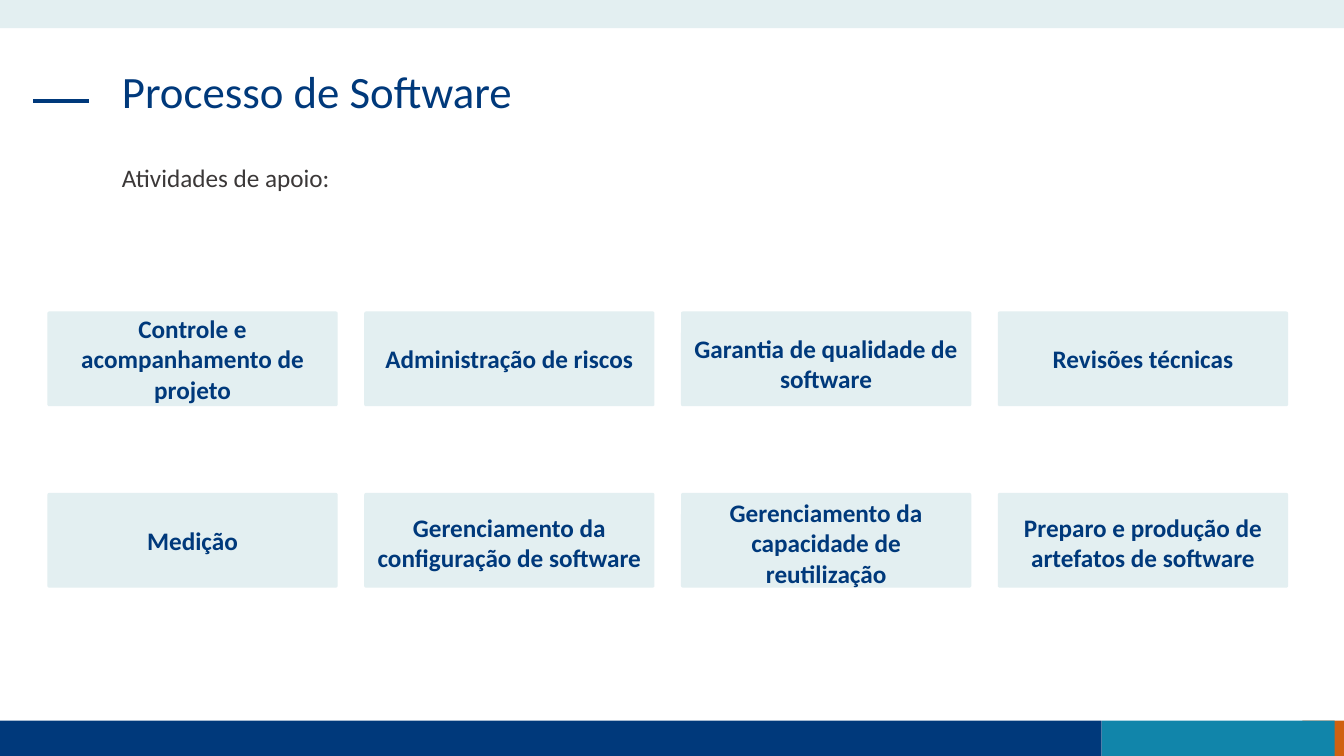
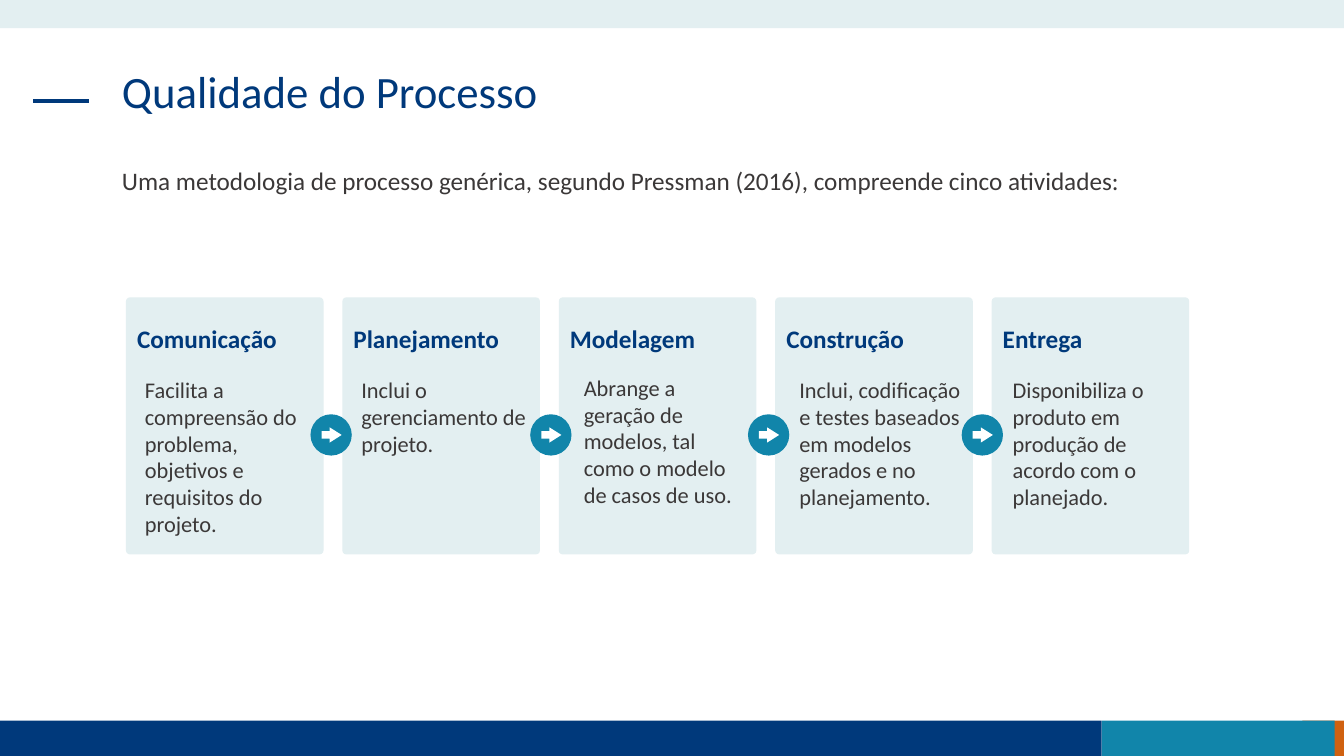
from lxml import etree
from pptx import Presentation
from pptx.dml.color import RGBColor
from pptx.enum.shapes import MSO_CONNECTOR, MSO_SHAPE
from pptx.enum.text import MSO_ANCHOR, MSO_AUTO_SIZE, PP_ALIGN
from pptx.oxml.ns import qn
from pptx.util import Inches, Pt

NAVY = RGBColor(0x00, 0x39, 0x7B)
TEAL = RGBColor(0x11, 0x85, 0xAA)
RUST = RGBColor(0xD0, 0x61, 0x10)
MIST = RGBColor(0xE3, 0xEF, 0xF1)
GRAY = RGBColor(0x3B, 0x38, 0x38)
WHITE = RGBColor(0xFF, 0xFF, 0xFF)

RECT = MSO_SHAPE.RECTANGLE
ROUND = MSO_SHAPE.ROUNDED_RECTANGLE
OVAL = MSO_SHAPE.OVAL
ARROW = MSO_SHAPE.RIGHT_ARROW
LINE = MSO_CONNECTOR.STRAIGHT
TOP, MIDDLE = MSO_ANCHOR.TOP, MSO_ANCHOR.MIDDLE
LEFT, CENTER = PP_ALIGN.LEFT, PP_ALIGN.CENTER
FIXED = MSO_AUTO_SIZE.NONE

CELL = 0.1
COLS, ROWS = 133.33, 75


def grid(*cells):
    return [Inches(cell * CELL) for cell in cells]


class Deck:
    font = "Calibri"
    bands = (
        (129.2, 71.5, 4.13, 3.5, RUST),
        (0, 71.5, 109.3, 3.5, NAVY),
        (109.3, 71.5, 23.1, 3.5, TEAL),
        (0, 0, COLS, 2.8, MIST),
    )

    def __init__(self):
        self.file = Presentation()
        self.file.slide_width, self.file.slide_height = grid(COLS, ROWS)
        self.slide = None

    def start(self, title):
        self.slide = self.file.slides.add_slide(self.file.slide_layouts[1])
        for *box, color in self.bands:
            self.shape(RECT, box, color)
        self.dash()
        self.hold(self.slide.shapes.title, (11.1, 6.4, 111, 9.4), title,
                  32, NAVY, TOP, 0.9)

    def dash(self):
        line = self.slide.shapes.add_connector(LINE, *grid(3.3, 10, 8.8, 10))
        line.line.color.rgb = NAVY
        line.line.width = Pt(3)
        etree.SubElement(line._element.spPr, qn("a:effectLst"))

    def hold(self, holder, box, text, size, color, anchor, space):
        holder.left, holder.top, holder.width, holder.height = grid(*box)
        frame = holder.text_frame
        frame.auto_size = FIXED
        para = self.label(frame, text, size, color, anchor=anchor)
        para.line_spacing = space

    def intro(self, text, box, anchor, space):
        self.hold(self.slide.placeholders[1], box, text, 18, GRAY,
                  anchor, space)

    def label(self, frame, text, size, color, bold=False, align=LEFT,
              anchor=TOP):
        frame.word_wrap = True
        frame.vertical_anchor = anchor
        para = frame.paragraphs[0]
        para.text = text
        props = para._p.get_or_add_pPr()
        props.set("marL", "0")
        props.set("indent", "0")
        etree.SubElement(props, qn("a:buNone"))
        para.alignment = align
        para.space_before = Pt(0)
        font = para.font
        font.name, font.size, font.bold = self.font, Pt(size), bold
        font.color.rgb = color
        return para

    def shape(self, kind, box, color, *rates):
        shape = self.slide.shapes.add_shape(kind, *grid(*box))
        shape.shadow.inherit = False
        shape.fill.solid()
        shape.fill.fore_color.rgb = color
        shape.line.fill.background()
        for index, rate in enumerate(rates):
            shape.adjustments[index] = rate
        return shape

    def card(self, box, text, drop, align, anchor):
        frame = self.shape(ROUND, box, MIST, 0.02).text_frame
        frame.margin_top, frame.margin_bottom = grid(drop, 0)
        self.label(frame, text, 18, NAVY, True, align, anchor)

    def note(self, box, text):
        frame = self.slide.shapes.add_textbox(*grid(*box)).text_frame
        self.label(frame, text, 16, GRAY)

    def badge(self, col, row):
        self.shape(OVAL, (col, row, 4.1, 4.1), TEAL)
        self.shape(ARROW, (col + 1.1, row + 1.3, 2, 1.5), WHITE, 0.5, 0.79)


def support(deck):
    deck.start("Processo de Software")
    deck.intro("Atividades de apoio:", (11.1, 15.9, 99.3, 9.4), TOP, 0.9)
    tasks = (
        ("Controle e acompanhamento de projeto", 0),
        ("Administração de riscos", 0),
        ("Garantia de qualidade de software", 0.9),
        ("Revisões técnicas", 0),
        ("Medição", 0),
        ("Gerenciamento da configuração de software", 0.5),
        ("Gerenciamento da capacidade de reutilização", 0.5),
        ("Preparo e produção de artefatos de software", 0.5),
    )
    for index, (text, drop) in enumerate(tasks):
        row, col = divmod(index, 4)
        box = (4.7 + 31.43 * col, 30.9 + 18 * row, 28.8, 9.4)
        deck.card(box, text, drop, CENTER, MIDDLE)


def quality(deck):
    deck.start("Qualidade do Processo")
    deck.intro("Uma metodologia de processo genérica, segundo Pressman (2016), "
               "compreende cinco atividades:", (11.1, 15.9, 111, 4), MIDDLE, 1)
    steps = (
        ("Comunicação", 0.9, 36.8, 18.6,
         "Facilita a compreensão do problema, objetivos e requisitos do "
         "projeto."),
        ("Planejamento", 0.9, 36.8, 18.6,
         "Inclui o gerenciamento de projeto."),
        ("Modelagem", 1.5, 36.6, 17.6,
         "Abrange a geração de modelos, tal como o modelo de casos de uso."),
        ("Construção", 1.4, 36.8, 18.2,
         "Inclui, codificação e testes baseados em modelos gerados e no "
         "planejamento."),
        ("Entrega", 1.1, 36.8, 18.4,
         "Disponibiliza o produto em produção de acordo com o planejado."),
    )
    for index, (name, shift, row, width, text) in enumerate(steps):
        col = 12.5 + 21.47 * index
        deck.card((col, 29.5, 19.6, 25.5), name, 2.5, LEFT, TOP)
        deck.note((col + shift, row, width, 17.2), text)
    for col in (30.8, 52.6, 74.2, 95.4):
        deck.badge(col, 41.1)


def main():
    deck = Deck()
    support(deck)
    quality(deck)
    deck.file.save("out.pptx")


if __name__ == "__main__":
    main()
